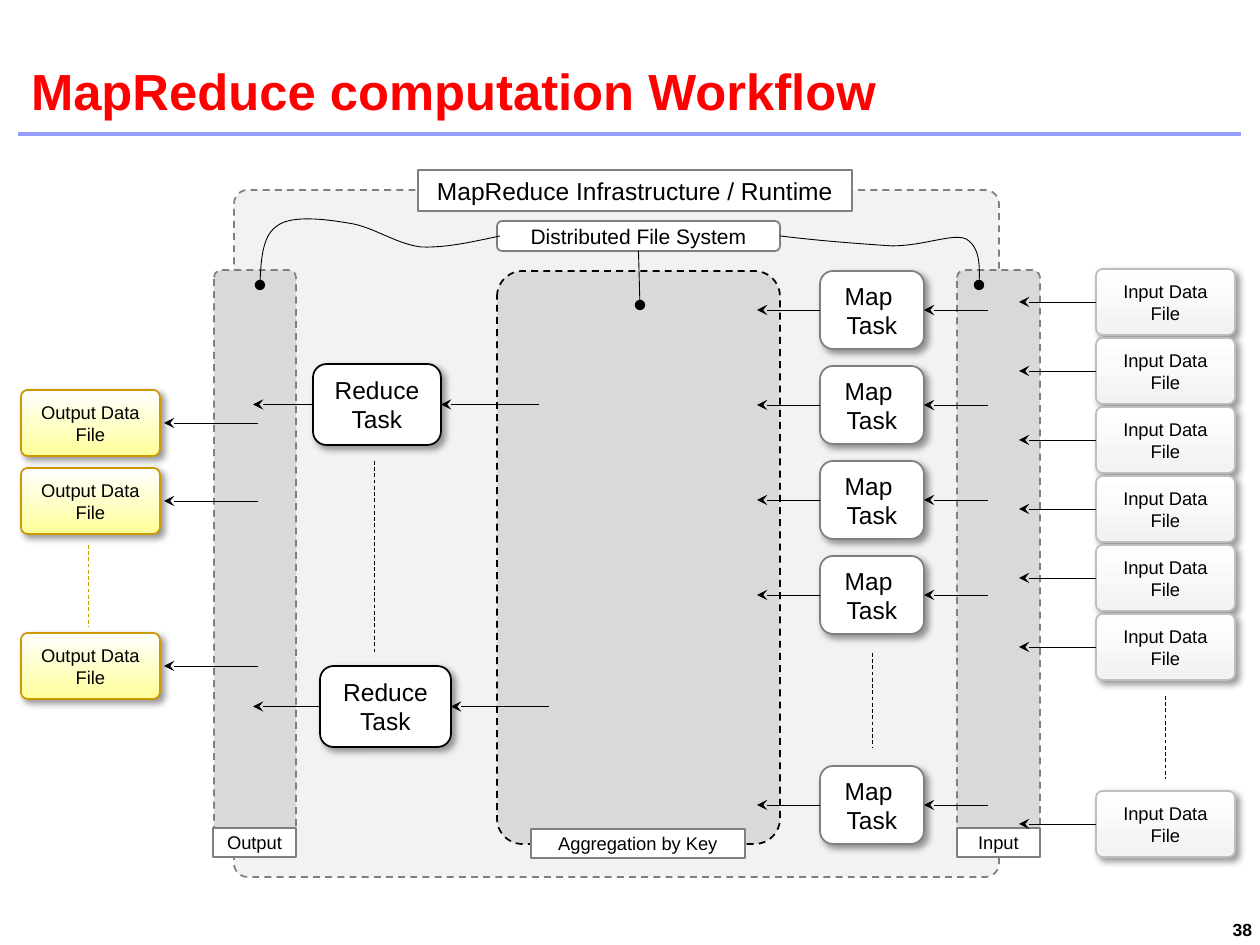
from dataclasses import dataclass

from lxml import etree
from pptx import Presentation
from pptx import util as u
from pptx.dml.color import RGBColor
from pptx.enum import dml, shapes, text
from pptx.oxml import parse_xml
from pptx.oxml.ns import qn

SCALE = u.Inches(1) / 126
RECT = shapes.MSO_SHAPE.RECTANGLE
ROUNDED = shapes.MSO_SHAPE.ROUNDED_RECTANGLE
TOP, LEFT, BOTTOM, RIGHT = range(4)
SHADOW = (
    '<a:effectLst xmlns:a="http://schemas.openxmlformats.org/drawingml/2006/main">'
    '<a:outerShdw blurRad="50800" dist="38100" dir="2700000" algn="tl" rotWithShape="0">'
    '<a:srgbClr val="000000"><a:alpha val="40000"/></a:srgbClr></a:outerShdw></a:effectLst>'
)


@dataclass(frozen=True)
class Theme:
    font: str = "Arial"
    title: str = "FF0000"
    rule: str = "939DFC"
    ink: str = "000000"
    white: str = "FFFFFF"
    border: str = "7F7F7F"
    runtime: str = "F2F2F2"
    store: str = "D9D9D9"
    input_border: str = "BFBFBF"
    output: str = "FFFF99"
    output_border: str = "CC9900"
    title_size: float = 29
    task_size: float = 14
    system_size: float = 12
    label_size: float = 10.5
    number_size: float = 10


THEME = Theme()


def px(value):
    return u.Emu(round(value * SCALE))


def rgb(value):
    return RGBColor.from_string(value)


def write(frame, words, size, color=THEME.ink, align=text.PP_ALIGN.CENTER, bold=False):
    frame.word_wrap = True
    frame.text = words
    for paragraph in frame.paragraphs:
        paragraph.alignment = align
        for run in paragraph.runs:
            run.font.name, run.font.size, run.font.bold = THEME.font, u.Pt(size), bold
            run.font.color.rgb = rgb(color)


def add_box(slide, kind, box, fill, border, words="", size=THEME.label_size,
            corner=None, dashed=False, shadow=False, fade=None):
    block = slide.shapes.add_shape(kind, *map(px, box))
    block.shadow.inherit = False
    if corner is not None:
        block.adjustments[0] = corner
    if fade:
        block.fill.gradient()
        block.fill.gradient_angle = 270
        for stop, color in zip(block.fill.gradient_stops, (fill, fade)):
            stop.color.rgb = rgb(color)
    else:
        block.fill.solid()
        block.fill.fore_color.rgb = rgb(fill)
    block.line.color.rgb = rgb(border)
    block.line.width = u.Pt(1)
    if dashed:
        block.line.dash_style = dml.MSO_LINE.DASH
    if shadow:
        properties = block._element.spPr
        properties.replace(properties.find(qn("a:effectLst")), parse_xml(SHADOW))
    if words:
        write(block.text_frame, words, size)
        block.text_frame.vertical_anchor = text.MSO_ANCHOR.MIDDLE
    return block


def add_end(line, end, kind):
    etree.SubElement(line._get_or_add_ln(), qn(f"a:{end}End"), type=kind)


def add_line(slide, start, finish, color=THEME.ink, width=0.5, tail=None,
             dashed=False, begin=None, end=None):
    line = slide.shapes.add_connector(
        shapes.MSO_CONNECTOR.STRAIGHT, *map(px, (*start, *finish)))
    line.line.color.rgb = rgb(color)
    line.line.width = u.Pt(width)
    if dashed:
        line.line.dash_style = dml.MSO_LINE.DASH
    if tail:
        add_end(line.line, "tail", tail)
    if begin:
        line.begin_connect(*begin)
    if end:
        line.end_connect(*end)
    etree.SubElement(line._element.spPr, qn("a:effectLst"))


def add_curve(slide, origin, points, dotted_end, steps=12):
    points = [(origin[0] + x, origin[1] + y) for x, y in points]
    trace = []
    for first in range(0, len(points) - 1, 3):
        for step in range(1, steps + 1):
            t = step / steps
            weights = ((1 - t) ** 3, 3 * t * (1 - t) ** 2, 3 * t * t * (1 - t), t ** 3)
            trace.append(tuple(
                sum(w * p[axis] for w, p in zip(weights, points[first:first + 4]))
                for axis in (0, 1)))
    subpixel = 100
    builder = slide.shapes.build_freeform(
        *(value * subpixel for value in points[0]), scale=SCALE / subpixel)
    builder.add_line_segments(
        [(round(x * subpixel), round(y * subpixel)) for x, y in trace], close=False)
    curve = builder.convert_to_shape()
    curve.shadow.inherit = False
    curve.fill.background()
    curve.line.color.rgb = rgb(THEME.ink)
    curve.line.width = u.Pt(0.5)
    add_end(curve.line, dotted_end, "oval")


def add_caption(slide, box, words, size, color, align, anchor, margins):
    frame = slide.shapes.add_textbox(*map(px, box)).text_frame
    frame.margin_left, frame.margin_top, frame.margin_right, frame.margin_bottom = map(px, margins)
    frame.vertical_anchor = anchor
    write(frame, words, size, color, align, bold=True)


def heading(slide, box):
    x, y, w, h = box
    add_line(slide, (x - 5, y + h + 13), (x + w, y + h + 13), THEME.rule, 1.75)
    add_caption(slide, box, "MapReduce computation Workflow", THEME.title_size, THEME.title,
                text.PP_ALIGN.LEFT, text.MSO_ANCHOR.BOTTOM, (8, 3, 0, 0))


def page_number(slide, box):
    add_caption(slide, box, "38", THEME.number_size, THEME.ink,
                text.PP_ALIGN.RIGHT, text.MSO_ANCHOR.TOP, (0, 0, 8, 8))


def runtime(slide, box):
    x, y, w, h = box
    add_box(slide, ROUNDED, box, THEME.runtime, THEME.border, corner=0.02, dashed=True)
    add_box(slide, RECT, (x + 184, y - 20, 434, 41), THEME.white, THEME.border,
            "MapReduce Infrastructure / Runtime", THEME.task_size)


def store(slide, box, words, label_width, border=THEME.border):
    x, y, w, h = box
    add_box(slide, ROUNDED, box, THEME.store, border, corner=0.09, dashed=True)
    label = add_box(slide, RECT, (x + (w - label_width) // 2, y + h - 15, label_width, 29),
                    THEME.white, THEME.border, words)
    label.text_frame.margin_left = label.text_frame.margin_right = px(6)


def task(slide, box, words, border, source_x, target_x):
    x, y, w, h = box
    middle = y + h / 2
    block = add_box(slide, ROUNDED, box, THEME.white, border, words, THEME.task_size, shadow=True)
    add_line(slide, (source_x, middle), (x + w, middle), tail="stealth", end=(block, RIGHT))
    add_line(slide, (x, middle), (target_x, middle), tail="stealth", begin=(block, LEFT))


def map_tasks(slide, box):
    x, y, w, h = box
    for top in [*range(0, 4 * 95, 95), h - 78]:
        task(slide, (x, y + top, w, 78), "Map \nTask", THEME.border, x + w + 64, x - 63)
    add_line(slide, (x + w / 2, y + 382), (x + w / 2, y + 476), dashed=True)


def reduce_tasks(slide, box):
    x, y, w, h = box
    for left, top, width in ((0, 0, 128), (7, h - 81, 131)):
        task(slide, (x + left, y + top, width, 81), "Reduce\nTask", THEME.ink,
             x + left + width + 98, x - 60)
    add_line(slide, (x + 61, y + 97), (x + 61, y + 289), dashed=True)


def data_file(slide, box, words, fade, border):
    return add_box(slide, ROUNDED, box, THEME.white, border, words,
                   corner=0.1, shadow=True, fade=fade)


def input_files(slide, box):
    x, y, w, h = box
    for top in [*range(0, 6 * 69, 69), h - 66]:
        block = data_file(slide, (x, y + top, w, 66), "Input Data File",
                          THEME.runtime, THEME.input_border)
        add_line(slide, (x, y + top + 33), (x - 77, y + top + 33),
                 tail="stealth", begin=(block, LEFT))
    add_line(slide, (x + w / 2, y + 427), (x + w / 2, y + 510), dashed=True)


def output_files(slide, box):
    x, y, w, h = box
    for top in (0, 78, h - 66):
        data_file(slide, (x, y + top, w, 66), "Output Data File",
                  THEME.output, THEME.output_border)
        add_line(slide, (x + w + 98, y + top + 33), (x + w + 4, y + top + 33), tail="stealth")
    add_line(slide, (x + 67, y + 155), (x + 67, y + 237), THEME.output_border, dashed=True)


def file_system(slide, box):
    x, y, w, h = box
    system = add_box(slide, ROUNDED, box, THEME.white, THEME.border,
                     "Distributed File System", THEME.system_size)
    add_curve(slide, (x, y), [
        (482, 64), (483, 45), (483, 26), (469, 18), (456, 12), (427, 25), (395, 25),
        (365, 23), (323, 20), (283, 15)], "head")
    add_curve(slide, (x, y), [
        (3, 15), (-25, 21), (-51, 27), (-76, 26), (-101, 23), (-125, 5), (-149, 2),
        (-173, -2), (-206, -6), (-220, 5), (-235, 15), (-236, 40), (-237, 64)], "tail")
    add_line(slide, (x + w / 2, y + h), (x + 143, y + 84), tail="oval", begin=(system, BOTTOM))


def main():
    deck = Presentation()
    deck.slide_width, deck.slide_height = px(1260), px(945)
    slide = deck.slides.add_slide(deck.slide_layouts[6])
    heading(slide, (23, 0, 1218, 121))
    page_number(slide, (1147, 919, 113, 23))
    runtime(slide, (234, 190, 765, 687))
    store(slide, (497, 271, 283, 573), "Aggregation by Key", 214, THEME.ink)
    store(slide, (214, 270, 82, 573), "Output", 83)
    store(slide, (957, 270, 83, 573), "Input", 83)
    map_tasks(slide, (820, 271, 104, 573))
    reduce_tasks(slide, (313, 364, 138, 383))
    input_files(slide, (1096, 269, 139, 588))
    output_files(slide, (21, 390, 139, 309))
    file_system(slide, (497, 221, 283, 30))
    deck.save("out.pptx")


if __name__ == "__main__":
    main()
